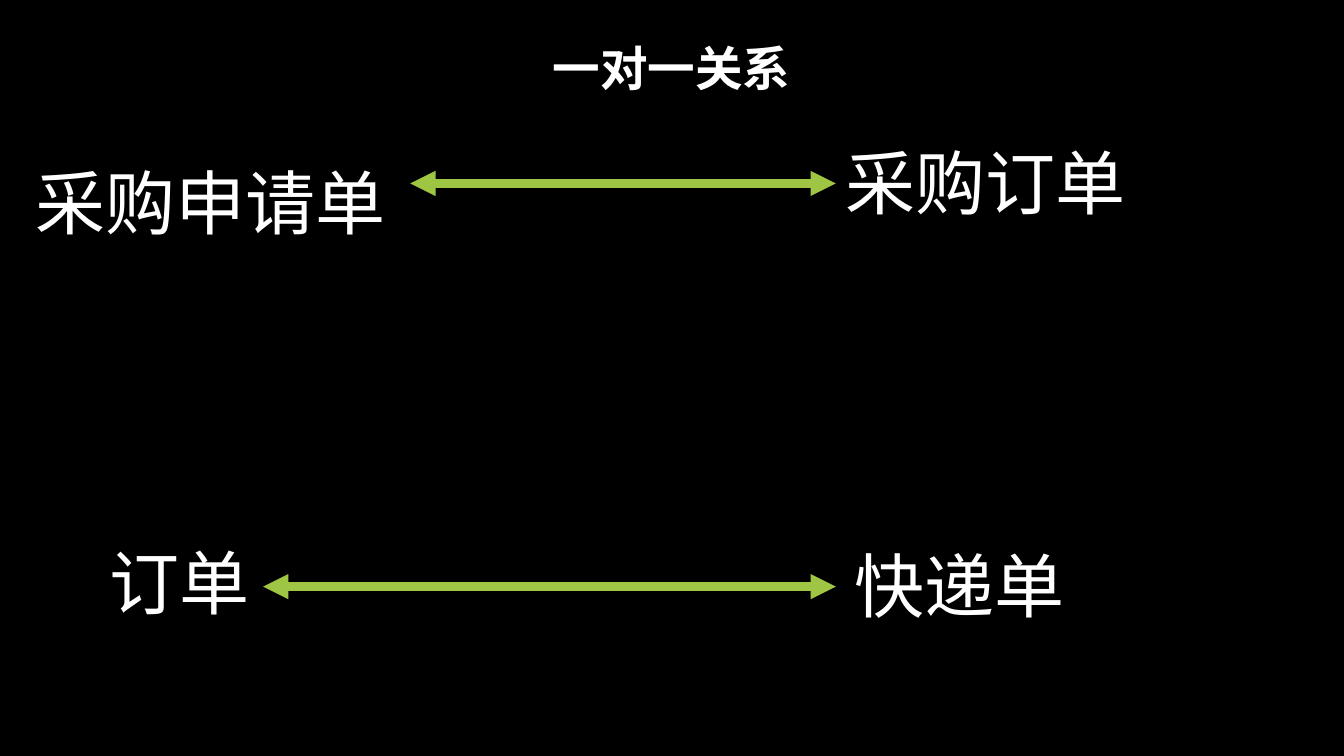
from lxml.etree import SubElement
from pptx import Presentation
from pptx.dml.color import RGBColor
from pptx.enum.shapes import MSO_CONNECTOR
from pptx.enum.text import MSO_ANCHOR, PP_ALIGN
from pptx.oxml.ns import qn
from pptx.util import Inches, Pt


def color(value):
    return RGBColor.from_string(value)


def add_text(page, text, left, top, width, height, size, spacing):
    box = page.shapes.add_textbox(Inches(left), Inches(top), Inches(width), Inches(height))
    box.text_frame.word_wrap = True
    para = box.text_frame.paragraphs[0]
    para.line_spacing = spacing
    span = para.add_run()
    span.text = text
    span.font.name = "Roboto Slab"
    span.font.size = Pt(size)
    span.font.color.rgb = color("FFFFFF")
    return box


deck = Presentation()
deck.slide_width = Inches(13.33)
deck.slide_height = Inches(7.5)
page = deck.slides.add_slide(deck.slide_layouts[6])
page.background.fill.solid()
page.background.fill.fore_color.rgb = color("000000")

title = add_text(page, "一对一关系", 1, 0.24, 11.32, 0.93, 34, 0.9)
title.text_frame.vertical_anchor = MSO_ANCHOR.MIDDLE
title_para = title.text_frame.paragraphs[0]
title_para.alignment = PP_ALIGN.CENTER
title_para.runs[0].font.bold = True

documents = [
    ("采购申请单", 0.25, 1.37, 5.12, 2.12),
    ("采购订单", 8.29, 1.17, 3.54, 1.3),
    ("订单", 0.99, 5.14, 3.08, 2.12),
    ("快递单", 8.38, 5.17, 3.08, 1.3),
]
for name, left, top, width, height in documents:
    add_text(page, name, left, top, width, height, 50, 1.2)

for start, level in [(4.07, 1.82), (2.61, 5.82)]:
    arrow = page.shapes.add_connector(
        MSO_CONNECTOR.STRAIGHT, Inches(start), Inches(level), Inches(8.29), Inches(level)
    )
    arrow.line.color.rgb = color("9EC544")
    arrow.line.width = Pt(6)
    outline = arrow.line._get_or_add_ln()
    for end in ("a:headEnd", "a:tailEnd"):
        SubElement(outline, qn(end), type="triangle")
    SubElement(arrow._element.spPr, qn("a:effectLst"))

deck.save("out.pptx")
